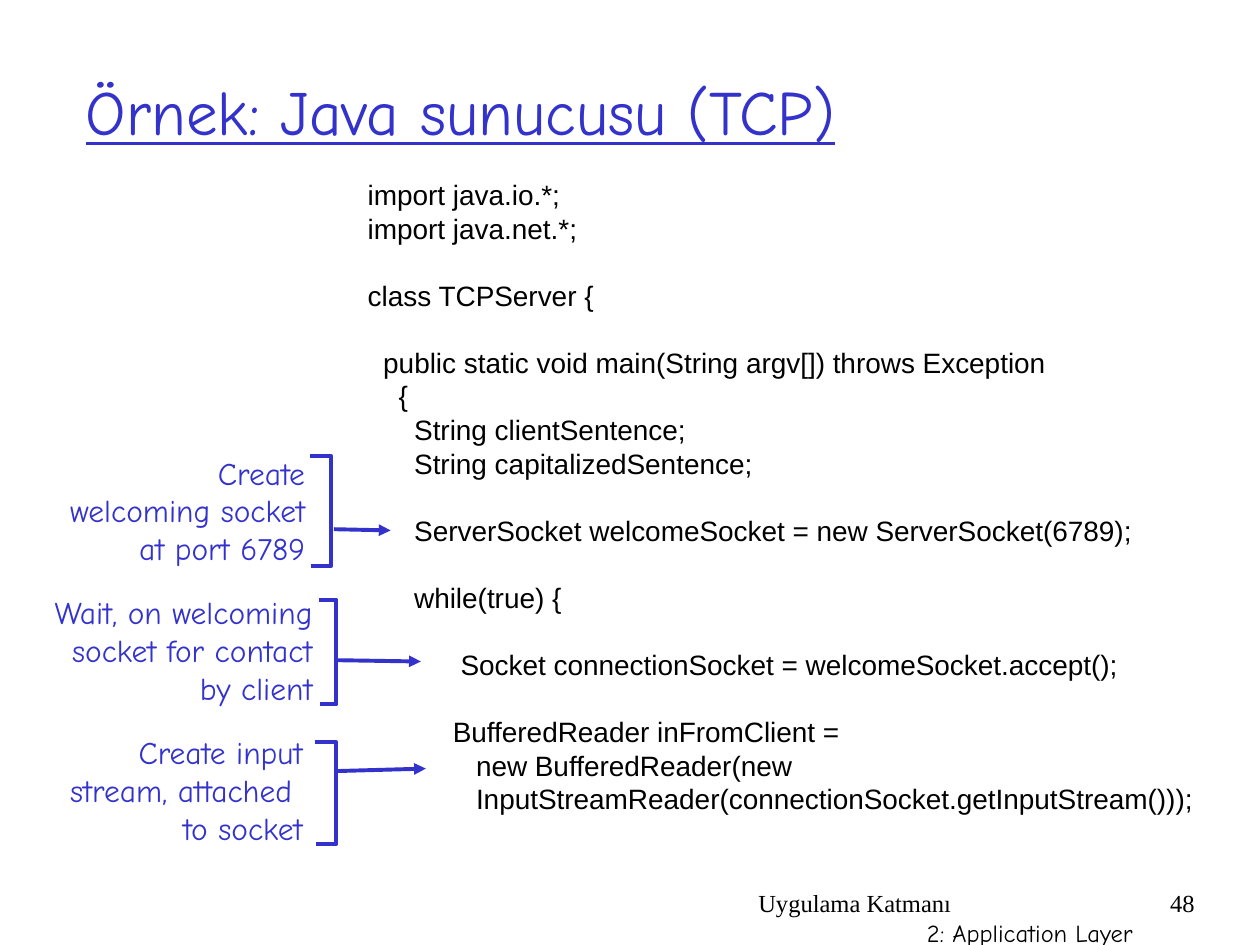
from pptx import Presentation
from pptx.dml.color import RGBColor
from pptx.enum import text
from pptx.oxml import parse_xml
from pptx.oxml.ns import nsdecls
from pptx.util import Inches, Pt

BLUE, BLACK = "3333CC", "000000"
LEFT, RIGHT = text.PP_ALIGN.LEFT, text.PP_ALIGN.RIGHT
MIDDLE, TOP = text.MSO_ANCHOR.MIDDLE, text.MSO_ANCHOR.TOP
COMIC, SERIF, SANS = "Comic Neue", "Times New Roman", "Arial"

# Content
TITLE = "Örnek: Java sunucusu (TCP)"
FOOTER = ["Uygulama Katmanı", "2: Application Layer"]
PAGE = "48"
CODE = """\
import java.io.*;
import java.net.*;

class TCPServer {

  public static void main(String argv[]) throws Exception
    {
      String clientSentence;
      String capitalizedSentence;

      ServerSocket welcomeSocket = new ServerSocket(6789);

      while(true) {

            Socket connectionSocket = welcomeSocket.accept();

           BufferedReader inFromClient =
              new BufferedReader(new
              InputStreamReader(connectionSocket.getInputStream()));"""
# Each note: lines, box (left, width), bracket (left, right, top, bottom), arrow ends
NOTES = [
    (["Create", "welcoming socket", "at port 6789"],
     (0.45, 2.07), (2.46, 2.63, 3.62, 4.49), (2.65, 4.2, 3.1, 4.21)),
    (["Wait, on welcoming", "socket for contact", "by client"],
     (0.31, 2.27), (2.53, 2.67, 4.76, 5.59), (2.68, 5.24, 3.34, 5.25)),
    (["Create input", "stream, attached ", "to socket"],
     (0.45, 2.05), (2.5, 2.67, 5.89, 6.7), (2.67, 6.12, 3.38, 6.1)),
]
NOTE_TOP, NOTE_STEP = 3.55, 1.11


def rgb(value):
    return RGBColor.from_string(value)


def style(p, font, size, color, align=LEFT):
    p.alignment = align
    for r in p.runs:
        r.font.name, r.font.size = font, Pt(size)
        r.font.color.rgb = rgb(color)


def add_text(s, lines, box, font, size, color, align=LEFT, pitch=None,
             anchor=TOP, wrap=False):
    """Add one paragraph per line; an empty line becomes space before the next."""
    tf = s.shapes.add_textbox(*map(Inches, box)).text_frame
    tf.word_wrap, tf.vertical_anchor = wrap, anchor
    p, gap = None, 0
    for line in lines:
        if not line:
            gap += pitch
            continue
        p = tf.add_paragraph() if p else tf.paragraphs[0]
        p.text = line
        if pitch:
            p.line_spacing = Pt(pitch)
        if gap:
            p.space_before, gap = Pt(gap), 0
        style(p, font, size, color, align)
    return tf


def blue_line(line):
    line.color.rgb, line.width = rgb(BLUE), Pt(2.25)


def add_bracket(s, left, right, top, bottom):
    builder = s.shapes.build_freeform(Inches(left), Inches(top))
    corners = [(right, top), (right, bottom), (left + 0.01, bottom)]
    builder.add_line_segments([(Inches(x), Inches(y)) for x, y in corners],
                              close=False)
    sp = builder.convert_to_shape()
    sp.shadow.inherit = False
    sp.fill.background()
    blue_line(sp.line)


def add_arrow(s, ends):
    sp = s.shapes.add_connector(1, *map(Inches, ends))
    blue_line(sp.line)
    sp.line._get_or_add_ln().append(
        parse_xml(f'<a:tailEnd {nsdecls("a")} type="triangle"/>'))
    sp._element.spPr.append(parse_xml(f'<a:effectLst {nsdecls("a")}/>'))


def main():
    prs = Presentation()
    prs.slide_width, prs.slide_height = Inches(10), Inches(7.5)
    s = prs.slides.add_slide(prs.slide_layouts[5])

    # Title
    title = s.shapes.title
    title.left, title.top = Inches(0.58), Inches(0.25)
    title.width, title.height = Inches(8.5), Inches(1.25)
    tf = title.text_frame
    tf.text, tf.vertical_anchor = TITLE, MIDDLE
    style(tf.paragraphs[0], COMIC, 36, BLUE)
    tf.paragraphs[0].runs[0].font.underline = True

    # Code listing
    add_text(s, CODE.split("\n"), (2.82, 1.36, 6.81, 5.7), SANS, 16, BLACK,
             pitch=19.2)

    # Notes with brackets and arrows
    for i, (lines, (left, width), bracket, ends) in enumerate(NOTES):
        add_text(s, lines, (left, NOTE_TOP + i * NOTE_STEP, width, 1), COMIC,
                 18, BLUE, RIGHT, pitch=21.5, anchor=MIDDLE)
        add_bracket(s, *bracket)
        add_arrow(s, ends)

    # Footer and page number
    tf = add_text(s, FOOTER, (5.92, 7, 3.17, 0.5), SERIF, 14, BLACK, wrap=True)
    style(tf.paragraphs[1], COMIC, 14, BLACK, RIGHT)
    add_text(s, [PAGE], (9.08, 7, 0.5, 0.5), SERIF, 14, BLACK, RIGHT, wrap=True)

    prs.save("out.pptx")


if __name__ == "__main__":
    main()
